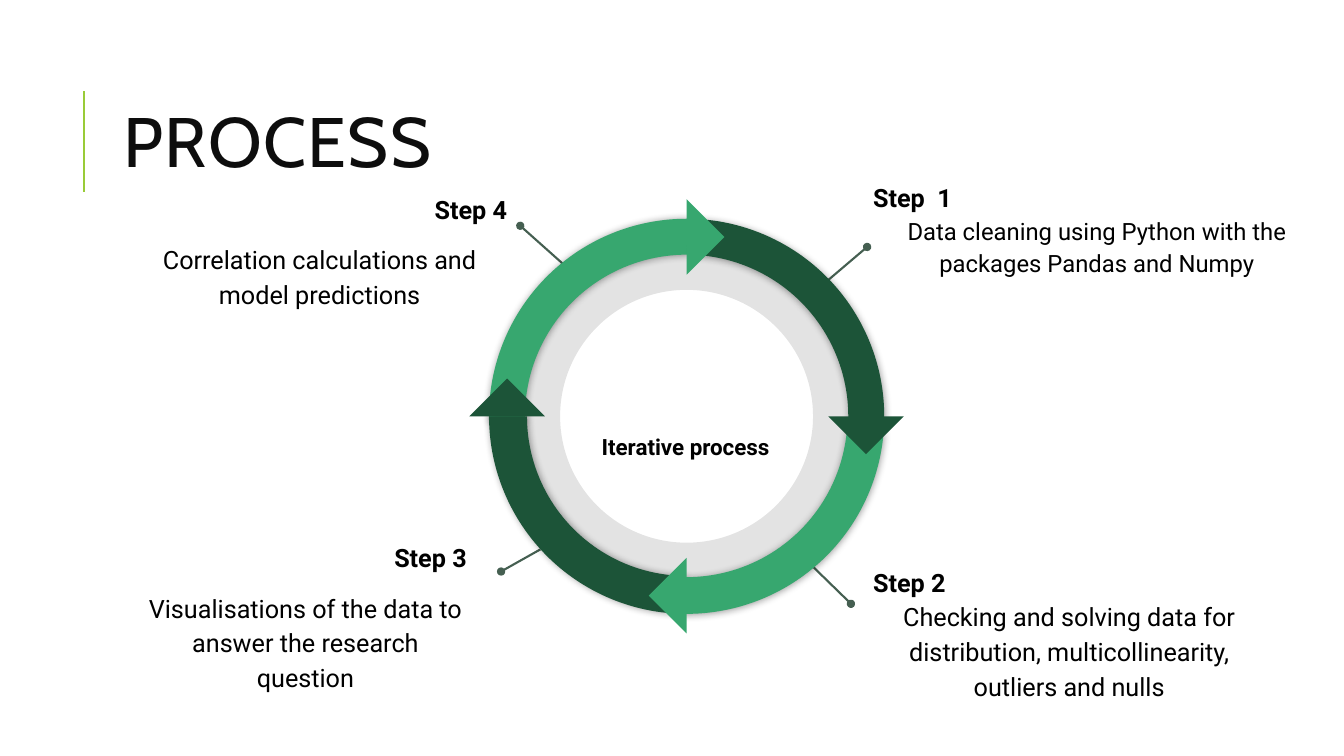
import math

import lxml.etree
import pptx
import pptx.dml.color
import pptx.enum.shapes
import pptx.enum.text
import pptx.oxml
import pptx.oxml.ns
import pptx.util

Inches = pptx.util.Inches
Pt = pptx.util.Pt
qn = pptx.oxml.ns.qn
SHAPE = pptx.enum.shapes.MSO_SHAPE
ALIGN = pptx.enum.text.PP_ALIGN
ANCHOR = pptx.enum.text.MSO_ANCHOR

COLORS = {
    "title": "0D0D0D", "text": "000000", "accent": "99CB38", "leader": "455F51",
    "dark": "1C5438", "light": "37A76F", "shade": "000000",
}

# colour, rotation, flipped, adjustments, shadow direction
ARCS = [
    ("light", 330, True, (143.486, 198.723, 0.091), 90),
    ("dark", 30, False, (145.459, 199.021, 0.091), 90),
    ("dark", 150, False, (180.417, 17.985, 0.096), 0),
    ("light", 210, True, (179.672, 15.295, 0.093), 90),
]
# angle on the ring, colour
TIPS = [(180, "dark"), (0, "dark"), (90, "light"), (270, "light")]

# text box, heading, body, leader from dot to ring, format
STEPS = [
    ((1.3, 5.21, 3.46, 0.98), "Step 3",
     "Visualisations of the data to answer the research question",
     (4.97, 5.67, 5.36, 5.45), dict(align=ALIGN.RIGHT, gap=11)),
    ((1.18, 1.75, 3.98, 1.36), "Step 4",
     "Correlation calculations and model predictions",
     (5.16, 2.24, 5.62, 2.65), dict(align=ALIGN.RIGHT, gap=11)),
    ((8.53, 5.45, 4.15, 1.81), "Step 2",
     "Checking and solving data for distribution, multicollinearity, outliers and nulls",
     (8.44, 5.99, 8.02, 5.58), {}),
    ((8.53, 1.63, 4.7, 1.64), "Step  1",
     "Data cleaning using Python with the packages Pandas and Numpy",
     (8.6, 2.45, 8.13, 2.85), dict(size=17)),
]


def rgb(name):
    return pptx.dml.color.RGBColor.from_string(COLORS[name])


def add_text(p, text, size=18, bold=False, color="text", font="Roboto",
             align=ALIGN.LEFT, spacing=1.15, before=0):
    p.alignment = align
    p.line_spacing = spacing
    if before:
        p.space_before = Pt(before)
    r = p.add_run()
    r.text = text
    r.font.size, r.font.bold, r.font.name = Pt(size), bold, font
    r.font.color.rgb = rgb(color)
    return r


def add_textbox(slide, box, anchor=ANCHOR.TOP):
    tf = slide.shapes.add_textbox(*map(Inches, box)).text_frame
    tf.word_wrap = True
    tf.vertical_anchor = anchor
    tf.margin_left = tf.margin_right = tf.margin_top = tf.margin_bottom = Inches(0.13)
    return tf


def add_line(slide, ends, color, dot=False):
    line = slide.shapes.add_connector(
        pptx.enum.shapes.MSO_CONNECTOR.STRAIGHT, *map(Inches, ends))
    line.line.color.rgb = rgb(color)
    line.line.width = Pt(1.5)
    if dot:
        lxml.etree.SubElement(line.line._get_or_add_ln(), qn("a:headEnd"), type="oval")
    lxml.etree.SubElement(line._element.spPr, qn("a:effectLst"))


def add_plain_shape(slide, kind, box, color, rotation=0):
    sp = slide.shapes.add_shape(kind, *map(Inches, box))
    sp.shadow.inherit = False
    sp.fill.solid()
    sp.fill.fore_color.rgb = rgb(color)
    sp.line.fill.background()
    sp.rotation = rotation
    return sp


def add_shadow(sp, direction):
    effects = sp._element.spPr.find(qn("a:effectLst"))
    shadow = lxml.etree.SubElement(
        effects, qn("a:outerShdw"), blurRad=str(Pt(5.6)), dist=str(Pt(0.8)),
        dir=str(direction * 60000), algn="ctr", rotWithShape="0")
    tint = lxml.etree.SubElement(shadow, qn("a:srgbClr"), val=COLORS["shade"])
    lxml.etree.SubElement(tint, qn("a:alpha"), val="40000")


def add_title(slide, box, text):
    x, y, w, h = box
    add_line(slide, (x - 0.29, y + 1.26, x - 0.29, y + 0.26), "accent")
    title = slide.shapes.title
    title.left, title.top, title.width, title.height = map(Inches, box)
    tf = title.text_frame
    tf.vertical_anchor = ANCHOR.MIDDLE
    r = add_text(tf.paragraphs[0], text, size=50, color="title", font="Cabin", spacing=0.8)
    r.font._element.set("spc", "100")


def add_step(slide, box, heading, body, leader, align=ALIGN.LEFT, gap=0, size=18):
    add_line(slide, leader, "leader", dot=True)
    tf = add_textbox(slide, box)
    add_text(tf.paragraphs[0], heading, bold=True, align=align)
    add_text(tf.add_paragraph(), body, size=size, align=ALIGN.CENTER, before=gap)


def add_hub(slide, box, text):
    """Grey inner ring with the text in its middle."""
    x, y, w, h = box
    donut = add_plain_shape(slide, SHAPE.DONUT, box, "shade")
    donut.adjustments[0] = 0.161
    tint = donut._element.spPr.find(".//" + qn("a:srgbClr"))
    lxml.etree.SubElement(tint, qn("a:alpha"), val="11000")
    tf = add_textbox(slide, (x + 0.79, y + 1.55, 2.1, 1.17), ANCHOR.MIDDLE)
    add_text(tf.paragraphs[0], text, size=16, bold=True, align=ALIGN.CENTER)


def add_cycle(slide, box):
    """Four arcs, with an arrow tip where each one ends."""
    x, y, w, h = box
    for color, rotation, flipped, adjustments, direction in ARCS:
        arc = add_plain_shape(slide, SHAPE.BLOCK_ARC, box, color, rotation)
        for i, value in enumerate(adjustments):
            arc.adjustments[i] = value
        if flipped:
            arc._element.spPr.find(qn("a:xfrm")).set("flipH", "1")
        add_shadow(arc, direction)
    radius, side = 1.78, 0.53
    for angle, color in TIPS:
        tip_x = x + w / 2 + radius * math.cos(math.radians(angle)) - side / 2
        tip_y = y + h / 2 + radius * math.sin(math.radians(angle)) - side / 2
        add_plain_shape(slide, SHAPE.RIGHT_TRIANGLE, (tip_x, tip_y, side, side),
                        color, (angle - 45) % 360)


def main():
    prs = pptx.Presentation()
    prs.slide_width, prs.slide_height = Inches(13.33), Inches(7.5)
    slide = prs.slides.add_slide(prs.slide_layouts[5])
    add_title(slide, (1.12, 0.64, 10.63, 1.64), "PROCESS")
    add_hub(slide, (4.96, 2.28, 3.7, 3.7), "Iterative process")
    for box, heading, body, leader, style in STEPS:
        add_step(slide, box, heading, body, leader, **style)
    add_cycle(slide, (4.85, 2.17, 3.92, 3.92))
    prs.save("out.pptx")


if __name__ == "__main__":
    main()
